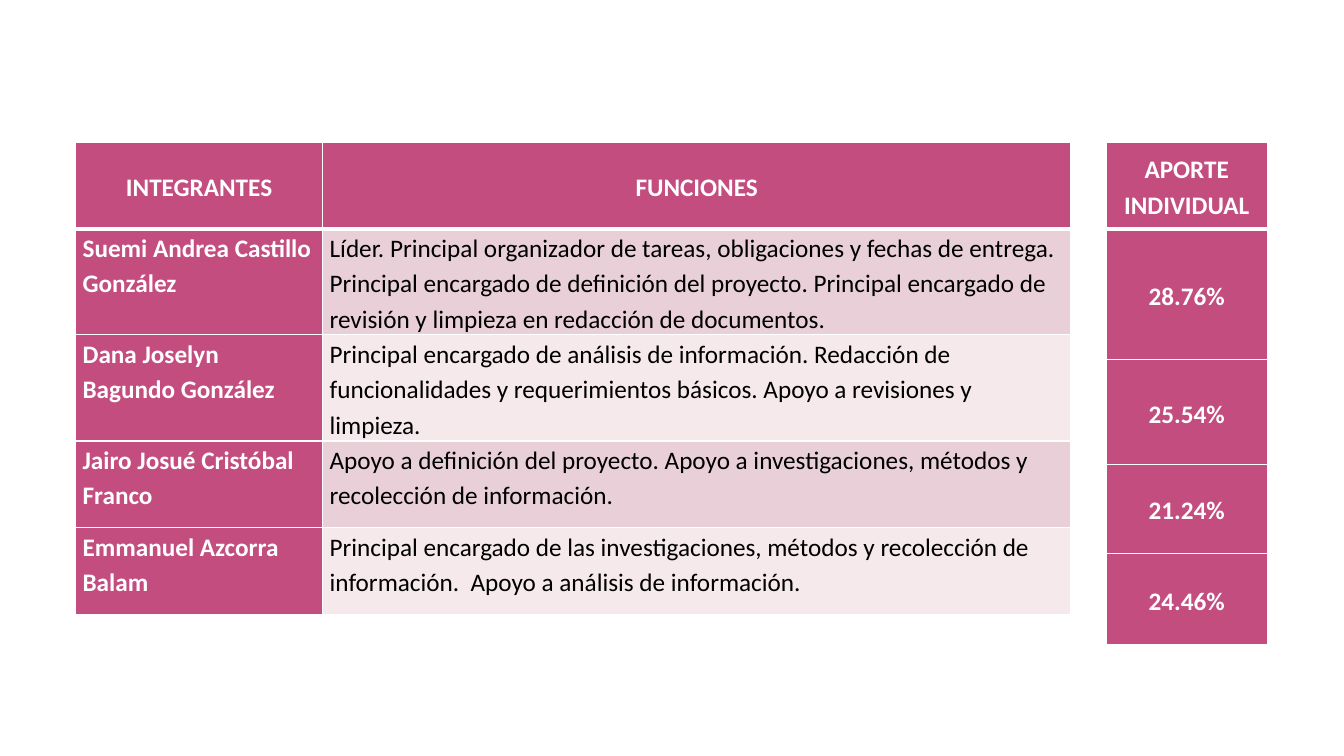
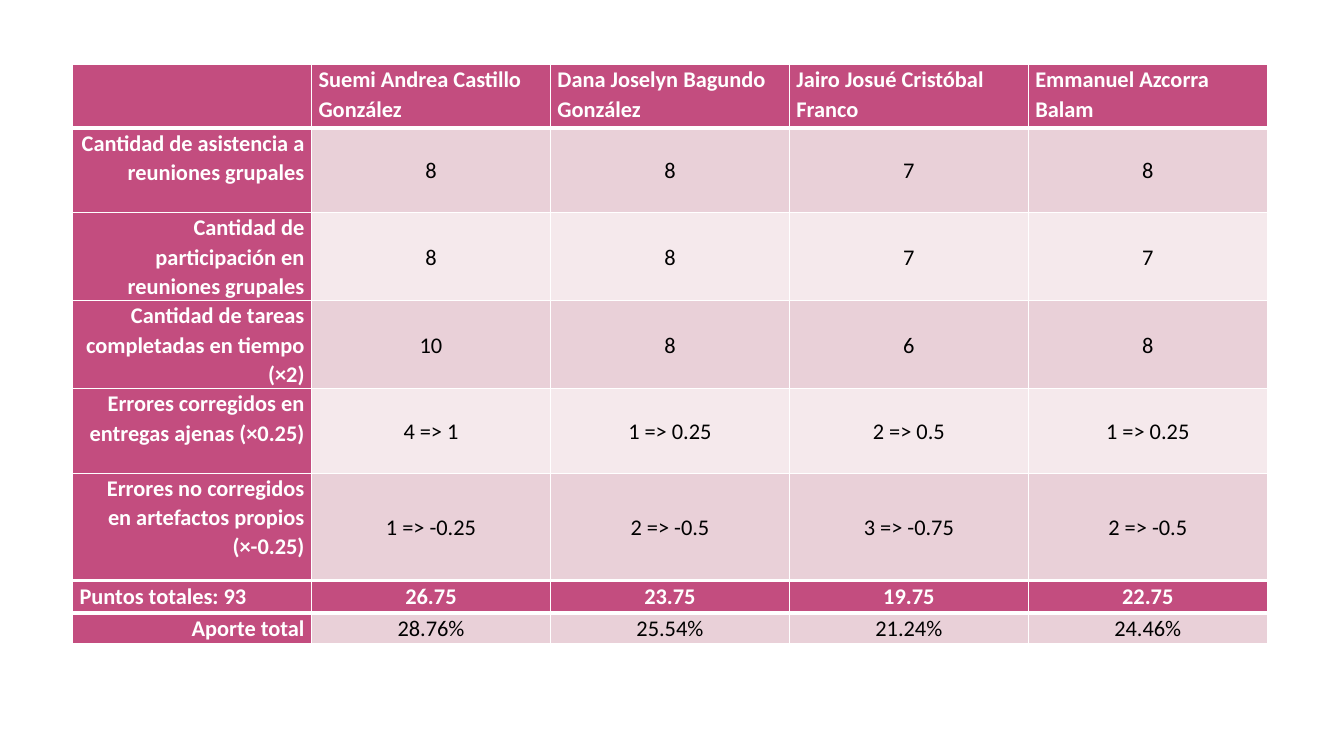
from lxml import etree
from pptx import Presentation
from pptx.dml.color import RGBColor
from pptx.enum.text import MSO_ANCHOR, PP_ALIGN
from pptx.oxml.ns import qn
from pptx.util import Inches, Pt

LEFT, CENTER, RIGHT = PP_ALIGN.LEFT, PP_ALIGN.CENTER, PP_ALIGN.RIGHT
TOP, MIDDLE = MSO_ANCHOR.TOP, MSO_ANCHOR.MIDDLE

FONT = "Calibri"
ACCENT, WHITE, BLACK = "C34D7F", "FFFFFF", "000000"
BANDS = ["E9D0D8", "F5E9EC"]
THIN, THICK = 1, 3
LARGE = {"size": 18, "spacing": 1.15, "after": 10}
SMALL = {"size": 16, "spacing": 1.07, "after": 8}

MEMBERS = [
    "Suemi Andrea Castillo González",
    "Dana Joselyn Bagundo González",
    "Jairo Josué Cristóbal Franco",
    "Emmanuel Azcorra Balam",
]
DUTIES = [
    "Líder. Principal organizador de tareas, obligaciones y fechas de entrega. Principal encargado de definición del proyecto. Principal encargado de revisión y limpieza en redacción de documentos.",
    "Principal encargado de análisis de información. Redacción de funcionalidades y requerimientos básicos. Apoyo a revisiones y limpieza.",
    "Apoyo a definición del proyecto. Apoyo a investigaciones, métodos y recolección de información.",
    "Principal encargado de las investigaciones, métodos y recolección de información.  Apoyo a análisis de información.",
]
SHARES = ["28.76%", "25.54%", "21.24%", "24.46%"]
SCORES = [
    ["", *MEMBERS],
    ["Cantidad de asistencia a reuniones grupales", "8", "8", "7", "8"],
    ["Cantidad de participación en reuniones grupales", "8", "8", "7", "7"],
    ["Cantidad de tareas completadas en tiempo (×2)", "10", "8", "6", "8"],
    ["Errores corregidos en entregas ajenas (×0.25)", "4 => 1", "1 => 0.25", "2 => 0.5", "1 => 0.25"],
    ["Errores no corregidos en artefactos propios (×-0.25)", "1 => -0.25", "2 => -0.5", "3 => -0.75", "2 => -0.5"],
]
TOTALS = [
    ["Puntos totales: 93", "26.75", "23.75", "19.75", "22.75"],
    ["Aporte total", *SHARES],
]


def rgb(color):
    return RGBColor.from_string(color)


def add_table(s, left, top, cols, rows, data, style, corner, head, side, body):
    frame = s.shapes.add_table(len(rows), len(cols), Inches(left), Inches(top),
                               Inches(sum(cols)), Inches(sum(rows)))
    table = frame.table
    table.horz_banding = False
    for j, width in enumerate(cols):
        table.columns[j].width = Inches(width)
    for i, height in enumerate(rows):
        table.rows[i].height = Inches(height)
        for j, text in enumerate(data[i]):
            cell = table.cell(i, j)
            strong = i == 0 or j == 0
            if i == 0:
                align, anchor = corner if j == 0 else head
            else:
                align, anchor = side if j == 0 else body
            cell.vertical_anchor = anchor
            cell.margin_left = cell.margin_right = Inches(0.07)
            cell.margin_top = cell.margin_bottom = 0
            cell.fill.solid()
            cell.fill.fore_color.rgb = rgb(ACCENT if strong else BANDS[(i - 1) % 2])

            tcPr = cell._tc.get_or_add_tcPr()
            widths = {"lnL": THIN, "lnR": THIN, "lnT": THICK if i == 1 else THIN,
                      "lnB": THICK if i == 0 else THIN}
            for n, (tag, width) in enumerate(widths.items()):
                ln = etree.Element(qn("a:" + tag), w=str(Pt(width)))
                fill = etree.SubElement(ln, qn("a:solidFill"))
                etree.SubElement(fill, qn("a:srgbClr"), val=WHITE)
                tcPr.insert(n, ln)

            p = cell.text_frame.paragraphs[0]
            p.alignment = align
            p.line_spacing = style["spacing"]
            p.space_after = Pt(style["after"])
            if text:
                r = p.add_run()
                r.text = text
                r.font.name = FONT
                r.font.size = Pt(style["size"])
                r.font.bold = strong
                r.font.color.rgb = rgb(WHITE if strong else BLACK)


prs = Presentation()
prs.slide_width, prs.slide_height = Inches(13.33), Inches(7.5)
blank = prs.slide_layouts[6]

s = prs.slides.add_slide(blank)
centered = (CENTER, MIDDLE)
add_table(s, 0.75, 1.41, [2.45, 7.42], [0.86, 1.04, 1.04, 0.86, 0.86],
          [["INTEGRANTES", "FUNCIONES"], *zip(MEMBERS, DUTIES)], LARGE,
          corner=centered, head=centered, side=(LEFT, TOP), body=(LEFT, TOP))
add_table(s, 10.97, 1.41, [1.6], [0.86, 1.3, 1.04, 0.88, 0.91],
          [["APORTE INDIVIDUAL"], *([share] for share in SHARES)], LARGE,
          corner=centered, head=centered, side=centered, body=centered)

s = prs.slides.add_slide(blank)
cols = [2.37] * 5
add_table(s, 0.72, 0.64, cols, [0.63] + [0.84] * 4 + [1.06], SCORES, SMALL,
          corner=(LEFT, TOP), head=(LEFT, TOP), side=(RIGHT, TOP), body=centered)
add_table(s, 0.72, 5.77, cols, [0.31] * 2, TOTALS, SMALL,
          corner=(LEFT, TOP), head=(CENTER, TOP), side=(RIGHT, TOP), body=(CENTER, TOP))

prs.save("out.pptx")
